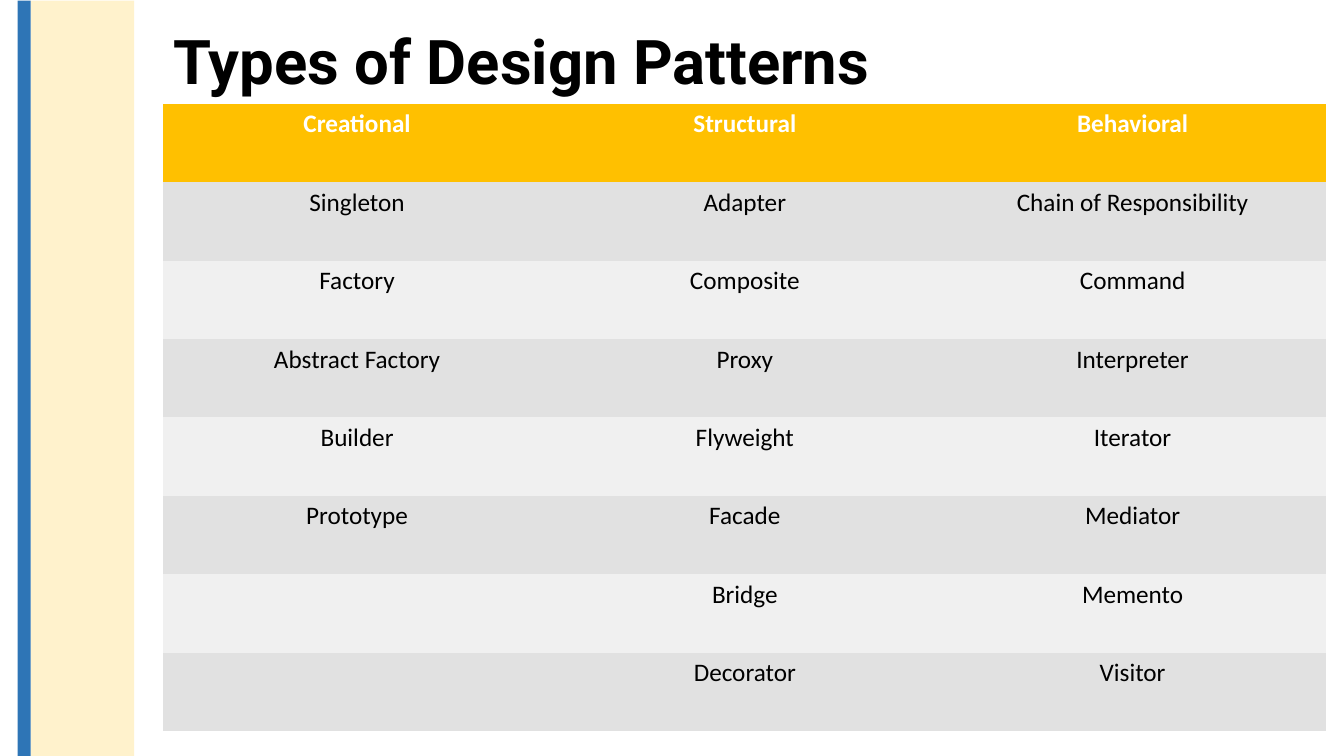
from itertools import zip_longest

from pptx import Presentation
from pptx.dml.color import RGBColor
from pptx.enum.shapes import MSO_SHAPE
from pptx.enum.text import MSO_ANCHOR, PP_ALIGN
from pptx.util import Pt

COLORS = {
    "cream": "FFF2CC",
    "blue": "2E75B6",
    "header": "FFC000",
    "dark_band": "E1E1E1",
    "light_band": "F0F0F0",
    "black": "000000",
    "white": "FFFFFF",
}
PAGE_WIDTH, PAGE_HEIGHT = 960, 540
NO_GRID_STYLE = "{2D5ABB26-0587-4C30-8999-92F81FD0307C}"

PATTERNS = {
    "Creational": ["Singleton", "Factory", "Abstract Factory", "Builder", "Prototype"],
    "Structural": ["Adapter", "Composite", "Proxy", "Flyweight", "Facade", "Bridge",
                   "Decorator"],
    "Behavioral": ["Chain of Responsibility", "Command", "Interpreter", "Iterator",
                   "Mediator", "Memento", "Visitor"],
}


def color(name):
    return RGBColor.from_string(COLORS[name])


def style_font(font, name, size, color_name, bold):
    font.name = name
    font.size = Pt(size)
    font.bold = bold
    font.color.rgb = color(color_name)


def add_side_bars(page, left, top, width, height):
    """A narrow blue stripe followed by a wide cream band."""
    stripe = 9.2
    bars = [("cream", left + stripe, width - stripe), ("blue", left, stripe)]
    for name, bar_left, bar_width in bars:
        bar = page.shapes.add_shape(MSO_SHAPE.RECTANGLE, Pt(bar_left), Pt(top),
                                    Pt(bar_width), Pt(height))
        bar.shadow.inherit = False
        bar.fill.solid()
        bar.fill.fore_color.rgb = color(name)
        bar.line.fill.background()


def add_title(page, text, left, top, width, height):
    box = page.shapes.add_textbox(Pt(left), Pt(top), Pt(width), Pt(height))
    frame = box.text_frame
    frame.word_wrap = True
    frame.vertical_anchor = MSO_ANCHOR.MIDDLE
    frame.text = text
    para = frame.paragraphs[0]
    para.line_spacing = 0.9
    style_font(para.runs[0].font, "Roboto", 44, "black", True)


def add_pattern_table(page, left, top, width, height):
    """One column per pattern family, with banded rows below the header."""
    rows = [list(PATTERNS), *zip_longest(*PATTERNS.values(), fillvalue="")]
    frame = page.shapes.add_table(len(rows), len(PATTERNS), Pt(left), Pt(top),
                                  Pt(width), Pt(height))
    table = frame.table
    # Remove the grid lines of the default table style
    table._tbl.tblPr.find("{*}tableStyleId").text = NO_GRID_STYLE

    for row_index, row in enumerate(rows):
        is_header = row_index == 0
        band = "dark_band" if row_index % 2 else "light_band"
        for column_index, text in enumerate(row):
            cell = table.cell(row_index, column_index)
            cell.fill.solid()
            cell.fill.fore_color.rgb = color("header" if is_header else band)
            cell.text = text
            para = cell.text_frame.paragraphs[0]
            para.alignment = PP_ALIGN.CENTER
            for span in para.runs:
                style_font(span.font, "Calibri", 18,
                           "white" if is_header else "black", is_header)


def main():
    deck = Presentation()
    deck.slide_width, deck.slide_height = Pt(PAGE_WIDTH), Pt(PAGE_HEIGHT)
    page = deck.slides.add_slide(deck.slide_layouts[6])

    add_side_bars(page, 12.6, 0.5, 83.2, PAGE_HEIGHT - 0.5)
    add_title(page, "Types of Design Patterns", 116.6, 18, 778.4, 56.2)
    add_pattern_table(page, 116.6, 74.2, 831, 448)

    deck.save("out.pptx")


if __name__ == "__main__":
    main()
